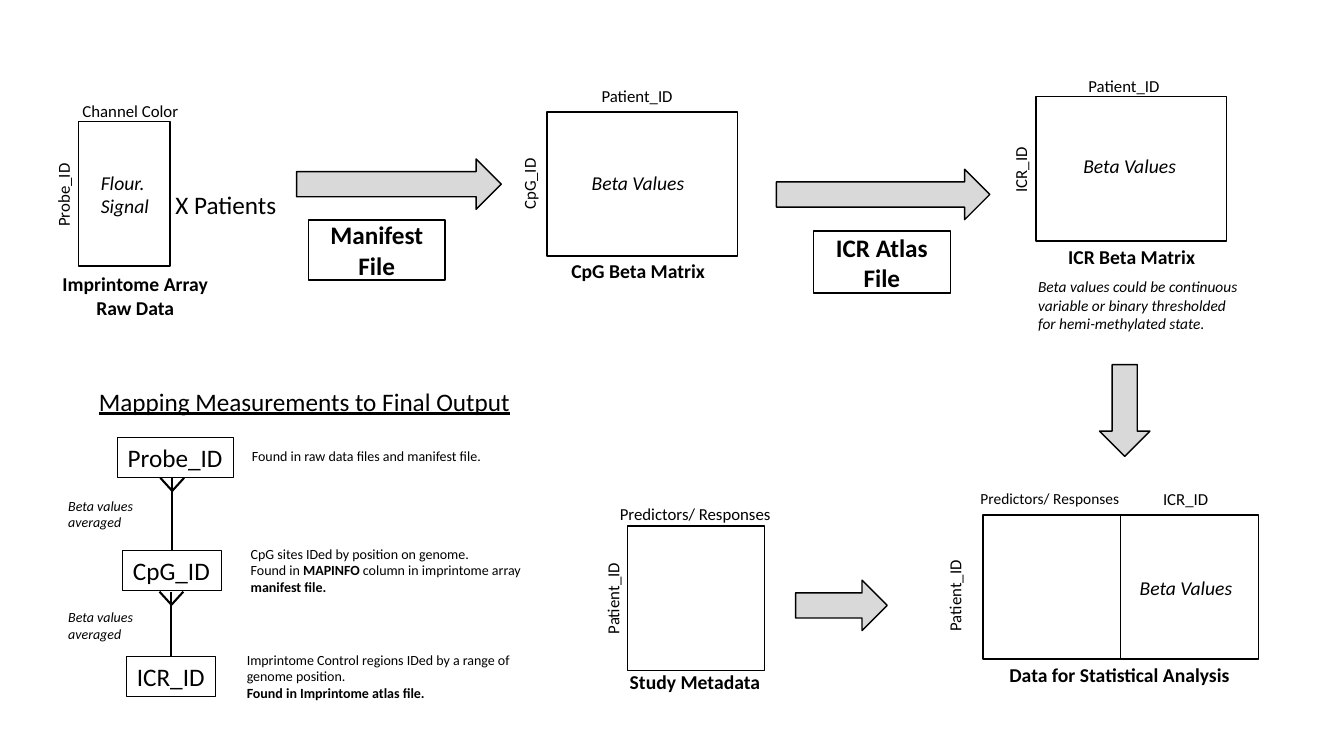
import pptx
import pptx.util
import pptx.dml.color
import pptx.enum.shapes
import pptx.enum.text
import pptx.oxml.ns
import lxml.etree

Cm, Pt = pptx.util.Cm, pptx.util.Pt
SHAPE = pptx.enum.shapes.MSO_SHAPE
ALIGN = pptx.enum.text.PP_ALIGN
BLACK = pptx.dml.color.RGBColor(0x00, 0x00, 0x00)
GRAY = pptx.dml.color.RGBColor(0xD9, 0xD9, 0xD9)
FONT = "Calibri"
TALL = 3.63  # height of every matrix


def write(shape, text, size, style="", wrap=False, mid=False, grow=True):
    """Fill a shape with text; *stars* mark bold, style holds b, i or u."""
    frame = shape.text_frame
    frame.word_wrap = wrap
    if grow:
        frame.auto_size = pptx.enum.text.MSO_AUTO_SIZE.SHAPE_TO_FIT_TEXT
    for row, line in enumerate(text.split("\n")):
        para = frame.add_paragraph() if row else frame.paragraphs[0]
        para.alignment = ALIGN.CENTER if mid else ALIGN.LEFT
        for part, words in enumerate(line.split("*")):
            if not words:
                continue
            run = para.add_run()
            run.text = words
            font = run.font
            font.name, font.size = FONT, Pt(size)
            font.color.rgb = BLACK
            font.bold = "b" in style or part % 2 == 1
            font.italic = "i" in style
            font.underline = "u" in style


def label(slide, text, box, size=12, style="", turn=0, **opts):
    shape = slide.shapes.add_textbox(*map(Cm, box))
    shape.rotation = turn
    write(shape, text, size, style, **opts)


def side(slide, text, left, top, width):
    """Add a row label that reads upwards."""
    label(slide, text, (left, top, width, 0.76), turn=270)


def head(slide, text, left, top, width):
    label(slide, text, (left, top, width, 0.76))


def title(slide, text, left, top, width):
    label(slide, text, (left, top, width, 0.86), 14, "b")


def frame(slide, left, top, width, height=TALL, kind=SHAPE.RECTANGLE, line=1):
    shape = slide.shapes.add_shape(kind, *map(Cm, (left, top, width, height)))
    shape.shadow.inherit = False
    shape.fill.background()
    shape.line.color.rgb = BLACK
    shape.line.width = Pt(line)
    return shape


def arrow(slide, left, top, length, turn=270):
    shape = frame(slide, left, top, 1.27, length, SHAPE.DOWN_ARROW)
    shape.rotation = turn
    shape.fill.solid()
    shape.fill.fore_color.rgb = GRAY


def file(slide, text, left, top, height):
    shape = frame(slide, left, top, 3.45, height)
    shape.text_frame.vertical_anchor = pptx.enum.text.MSO_ANCHOR.MIDDLE
    write(shape, text, 18, "b", wrap=True, mid=True, grow=False)


def key(slide, text, left, top, width):
    shape = frame(slide, left, top, width, 1.02, line=0.75)
    write(shape, text, 18)


def stroke(slide, *ends):
    line = slide.shapes.add_connector(
        pptx.enum.shapes.MSO_CONNECTOR.STRAIGHT, *map(Cm, ends))
    line.line.color.rgb = BLACK
    line.line.width = Pt(1.5)
    lxml.etree.SubElement(line._element.spPr, pptx.oxml.ns.qn("a:effectLst"))


def fork(slide, mid, top, end):
    """Join two keys with a many-to-one line, its fork at the top."""
    stroke(slide, mid, top, mid, end)
    for step in (-0.3, 0.3):
        stroke(slide, mid + step, top, mid, top + 0.33)


def note(slide, text, left, top, height):
    label(slide, text, (left, top, 7.65, height), 10, wrap=True)


def draw_raw(slide):
    frame(slide, 1.98, 3.07, 2.31)
    head(slide, "Channel Color", 1.83, 2.41, 2.95)
    side(slide, "Probe_ID", 0.53, 4.52, 2.13)
    label(slide, "Flour.\nSignal", (2.29, 4.17, 1.75, 1.45), 14, "i")
    label(slide, "X Patients", (4.17, 4.65, 3.1, 1.02), 18)
    label(slide, "Imprintome Array\nRaw Data", (1.3, 6.73, 4.22, 1.45),
          14, "b", mid=True)


def draw_betas(slide):
    frame(slide, 13.79, 2.82, 4.8)
    head(slide, "Patient_ID", 14.91, 2.03, 2.34)
    side(slide, "CpG_ID", 12.42, 4.24, 1.83)
    title(slide, "CpG Beta Matrix", 14.15, 6.4, 3.91)

    frame(slide, 26.11, 2.44, 4.8)
    head(slide, "Patient_ID", 27.18, 1.78, 2.34)
    side(slide, "ICR_ID", 24.89, 3.89, 1.65)
    title(slide, "ICR Beta Matrix", 26.67, 6.05, 3.73)
    label(slide, "Beta values could be continuous variable or binary "
          "thresholded for hemi-methylated state.",
          (25.91, 6.86, 5.61, 1.68), 11, "i", wrap=True)


def draw_final(slide):
    frame(slide, 15.82, 13.26, 3.45)
    head(slide, "Predictors/ Responses", 15.37, 12.57, 4.37)
    side(slide, "Patient_ID", 14.27, 14.68, 2.34)
    title(slide, "Study Metadata", 15.62, 16.76, 3.81)

    for left in (24.77, 28.24):
        frame(slide, left, 12.98, 3.47)
    label(slide, "Predictors/ Responses", (24.46, 12.19, 4.04, 0.74), 11)
    head(slide, "ICR_ID", 29.06, 12.19, 1.65)
    side(slide, "Patient_ID", 22.89, 14.61, 2.34)
    label(slide, "Data for Statistical Analysis", (24.94, 16.59, 6.55, 0.86),
          14, "b", wrap=True, mid=True)


def draw_map(slide):
    label(slide, "Mapping Measurements to Final Output",
          (2.24, 9.6, 10.9, 1.02), 18, "u")
    key(slide, "Probe_ID", 2.97, 11.02, 2.92)
    key(slide, "CpG_ID", 3.1, 13.87, 2.49)
    key(slide, "ICR_ID", 3.2, 16.54, 2.24)
    fork(slide, 4.34, 12.04, 13.87)
    fork(slide, 4.32, 14.91, 16.54)
    for top in (12.4, 15.21):
        label(slide, "Beta values\naveraged", (1.47, top, 2.26, 1.12), 10, "i")
    note(slide, "Found in raw data files and manifest file.", 6.1, 11.15, 0.69)
    note(slide, "CpG sites IDed by position on genome.\nFound in *MAPINFO* "
         "column in imprintome array *manifest file.*", 6.07, 13.61, 1.55)
    note(slide, "Imprintome Control regions IDed by a range of genome "
         "position.\n*Found in Imprintome atlas file.*", 5.97, 16.28, 1.55)


def main():
    deck = pptx.Presentation()
    deck.slide_width, deck.slide_height = Cm(33.87), Cm(19.05)
    slide = deck.slides.add_slide(deck.slide_layouts[6])
    draw_raw(slide)
    draw_betas(slide)
    draw_final(slide)
    for left, top in ((14.66, 4.19), (27.05, 3.76), (28.47, 14.38)):
        label(slide, "Beta Values", (left, top, 2.92, 0.86), 14, "i")
    arrow(slide, 9.42, 2.06, 5.16)
    arrow(slide, 21.62, 2.21, 5.38)
    arrow(slide, 27.71, 9.19, 2.31, turn=0)
    arrow(slide, 20.57, 14.1, 2.31)
    file(slide, "Manifest File", 7.77, 5.54, 1.52)
    file(slide, "ICR Atlas File", 20.5, 5.82, 1.57)
    draw_map(slide)
    deck.save("out.pptx")


if __name__ == "__main__":
    main()
